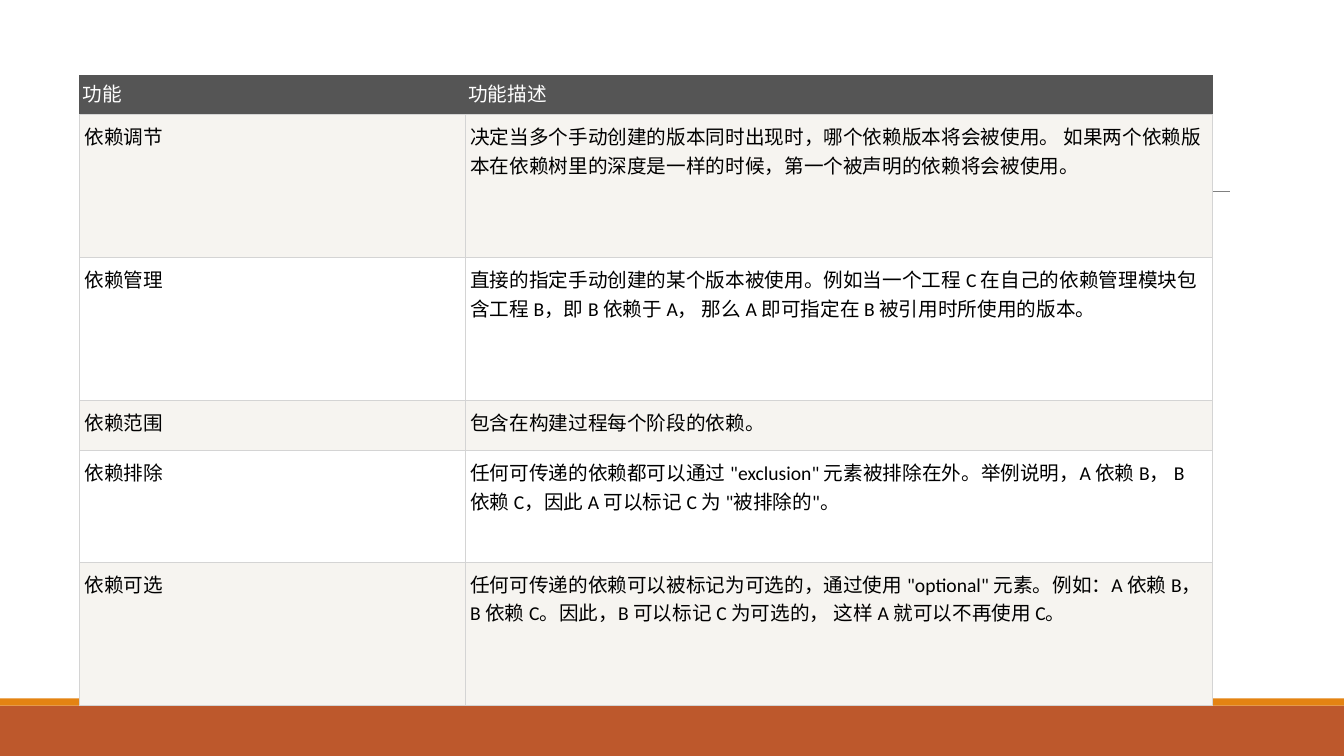
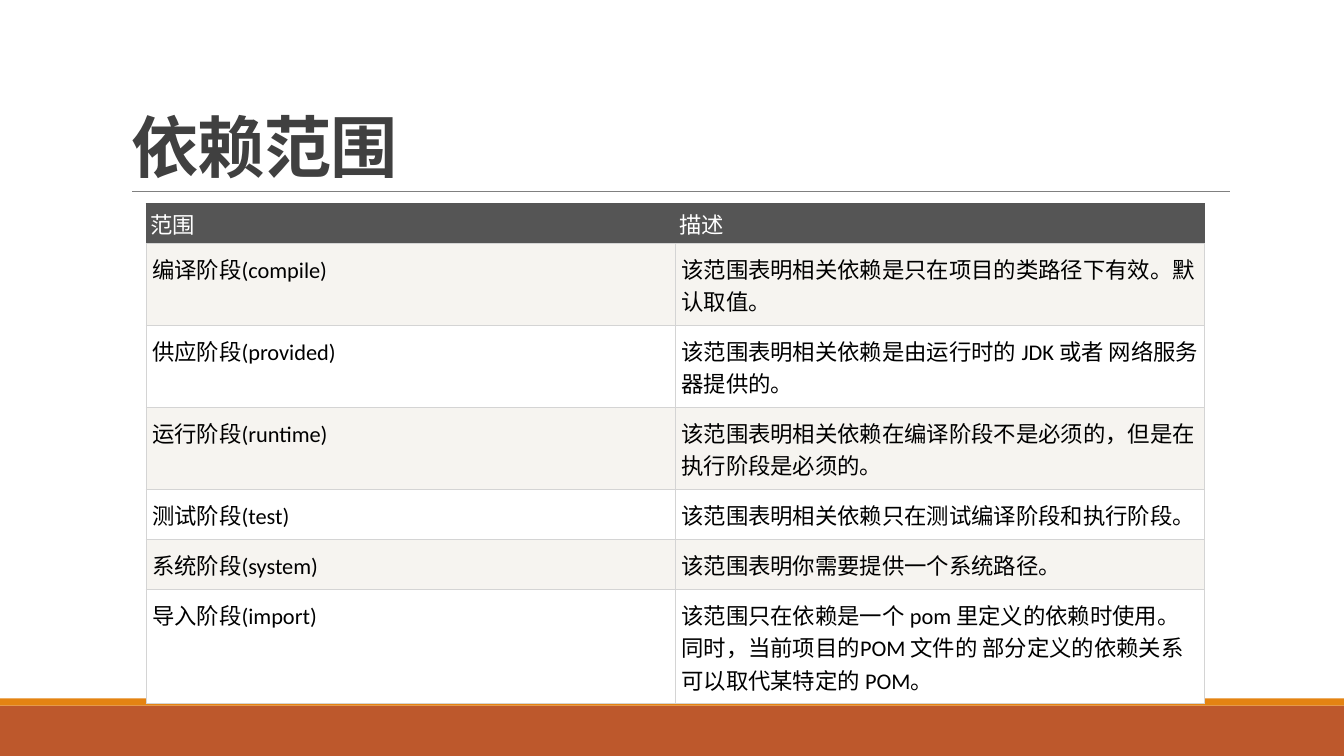
from lxml import etree
from pptx import Presentation
from pptx.dml.color import RGBColor
from pptx.enum.lang import MSO_LANGUAGE_ID as LANG
from pptx.enum.shapes import MSO_CONNECTOR as CONN, MSO_SHAPE as SHAPE
from pptx.enum.text import MSO_ANCHOR as ANCHOR
from pptx.oxml.ns import qn
from pptx.util import Inches, Pt

RUST = RGBColor(0xBD, 0x58, 0x2C)
ORANGE = RGBColor(0xE4, 0x83, 0x12)
RULE = RGBColor(0x80, 0x80, 0x80)
TITLE = RGBColor(0x40, 0x40, 0x40)
HEAD = RGBColor(0x55, 0x55, 0x55)
GRID = RGBColor(0xD4, 0xD4, 0xD4)
CREAM = RGBColor(0xF6, 0xF4, 0xF0)
WHITE = RGBColor(0xFF, 0xFF, 0xFF)
BLACK = RGBColor(0, 0, 0)

FONT = "Calibri"
COLS, ROWS = 133.33, 75
UNIT = Inches(0.1)

FEATURES = [
    ("功能", "功能描述"),
    ("依赖调节", "决定当多个手动创建的版本同时出现时，哪个依赖版本将会被使用。 "
     "如果两个依赖版本在依赖树里的深度是一样的时候，第一个被声明的依赖将会被使用。"),
    ("依赖管理", "直接的指定手动创建的某个版本被使用。例如当一个工程 C 在自己的依赖管理模块包含工程 B，"
     "即 B 依赖于 A， 那么 A 即可指定在 B 被引用时所使用的版本。"),
    ("依赖范围", "包含在构建过程每个阶段的依赖。"),
    ("依赖排除", '任何可传递的依赖都可以通过 "exclusion" 元素被排除在外。举例说明，A 依赖 B， '
     'B 依赖 C，因此 A 可以标记 C 为 "被排除的"。'),
    ("依赖可选", '任何可传递的依赖可以被标记为可选的，通过使用 "optional" 元素。例如：A 依赖 B， '
     'B 依赖 C。因此，B 可以标记 C 为可选的， 这样 A 就可以不再使用 C。'),
]
SCOPES = [
    ("范围", "描述"),
    ("编译阶段(compile)", "该范围表明相关依赖是只在项目的类路径下有效。默认取值。"),
    ("供应阶段(provided)", "该范围表明相关依赖是由运行时的 JDK 或者 网络服务器提供的。"),
    ("运行阶段(runtime)", "该范围表明相关依赖在编译阶段不是必须的，但是在执行阶段是必须的。"),
    ("测试阶段(test)", "该范围表明相关依赖只在测试编译阶段和执行阶段。"),
    ("系统阶段(system)", "该范围表明你需要提供一个系统路径。"),
    ("导入阶段(import)", "该范围只在依赖是一个 pom 里定义的依赖时使用。同时，当前项目的POM 文件的 "
     "部分定义的依赖关系可以取代某特定的 POM。"),
]


def units(*values):
    return [round(v * UNIT) for v in values]


def set_attrs(obj, values):
    for name, value in values.items():
        setattr(obj, name, value)


def write(tf, text, size, color, bold=False):
    p = tf.paragraphs[0]
    r = p.add_run()
    r.text = text
    set_attrs(r.font, {"name": FONT, "size": Pt(size), "bold": bold,
                       "language_id": LANG.SIMPLIFIED_CHINESE})
    r.font.color.rgb = color
    return p, r


def add_band(s, top, height, color):
    sp = s.shapes.add_shape(SHAPE.RECTANGLE, *units(0, top, COLS, height))
    sp.shadow.inherit = False
    sp.fill.solid()
    sp.fill.fore_color.rgb = color
    sp.line.fill.background()


def add_rule(s, left, right, top):
    ln = s.shapes.add_connector(CONN.STRAIGHT, *units(left, top, right, top))
    ln.line.color.rgb = RULE
    ln.line.width = Pt(0.5)
    etree.SubElement(ln._element.spPr, qn("a:effectLst"))


def add_base(prs):
    s = prs.slides.add_slide(prs.slide_layouts[6])
    add_band(s, 70, 5, RUST)
    add_band(s, 69.3, 0.7, ORANGE)
    add_rule(s, 13.1, 122.05, 19)
    return s


def add_title(s, text):
    tf = s.shapes.add_textbox(*units(12.04, 3.1, 110, 15.9)).text_frame
    set_attrs(tf, {"word_wrap": True, "vertical_anchor": ANCHOR.BOTTOM})
    p, r = write(tf, text, 48, TITLE, True)
    p.line_spacing = 0.85
    r.font._element.set("spc", "-50")


def add_border(cell, side, color):
    tc_pr = cell._tc.get_or_add_tcPr()
    ln = etree.SubElement(tc_pr, qn("a:ln" + side), w=str(Pt(1)))
    fill = etree.SubElement(ln, qn("a:solidFill"))
    etree.SubElement(fill, qn("a:srgbClr"), val=str(color))


def style_cell(cell, text, row, size, pads):
    head = row == 0
    pad_x, pad_y = units(*pads[0 if head else 1])
    set_attrs(cell, {"margin_left": pad_x, "margin_right": pad_x,
                     "margin_top": pad_y, "margin_bottom": pad_y})
    for side in "LRTB":
        add_border(cell, side, HEAD if head and side != "B" else GRID)
    cell.fill.solid()
    cell.fill.fore_color.rgb = HEAD if head else CREAM if row % 2 else WHITE
    write(cell.text_frame, text, size, WHITE if head else BLACK)


def add_grid(s, data, left, top, widths, heights, size, pads):
    box = units(left, top, sum(widths), sum(heights))
    tbl = s.shapes.add_table(len(data), len(widths), *box).table
    set_attrs(tbl, {"first_row": False, "horz_banding": False})
    for col, width in zip(tbl.columns, units(*widths)):
        col.width = width
    for row, height in zip(tbl.rows, units(*heights)):
        row.height = height
    for i, texts in enumerate(data):
        for j, text in enumerate(texts):
            style_cell(tbl.cell(i, j), text, i, size, pads)


def main():
    prs = Presentation()
    prs.slide_width, prs.slide_height = units(COLS, ROWS)

    s = add_base(prs)
    add_grid(s, FEATURES, 7.9, 7.5, [38.25, 74.1],
             [3.9, 14.18, 14.18, 4.96, 11.1, 14.18], 14, [(0.3, 0.3), (0.5, 0.7)])

    s = add_base(prs)
    add_title(s, "依赖范围")
    add_grid(s, SCOPES, 14.5, 20.2, [52.5] * 2,
             [3.95] + [8.15] * 3 + [4.96] * 2 + [11.3], 16, [(0.4, 0.4), (0.6, 0.9)])

    prs.save("out.pptx")


if __name__ == "__main__":
    main()
